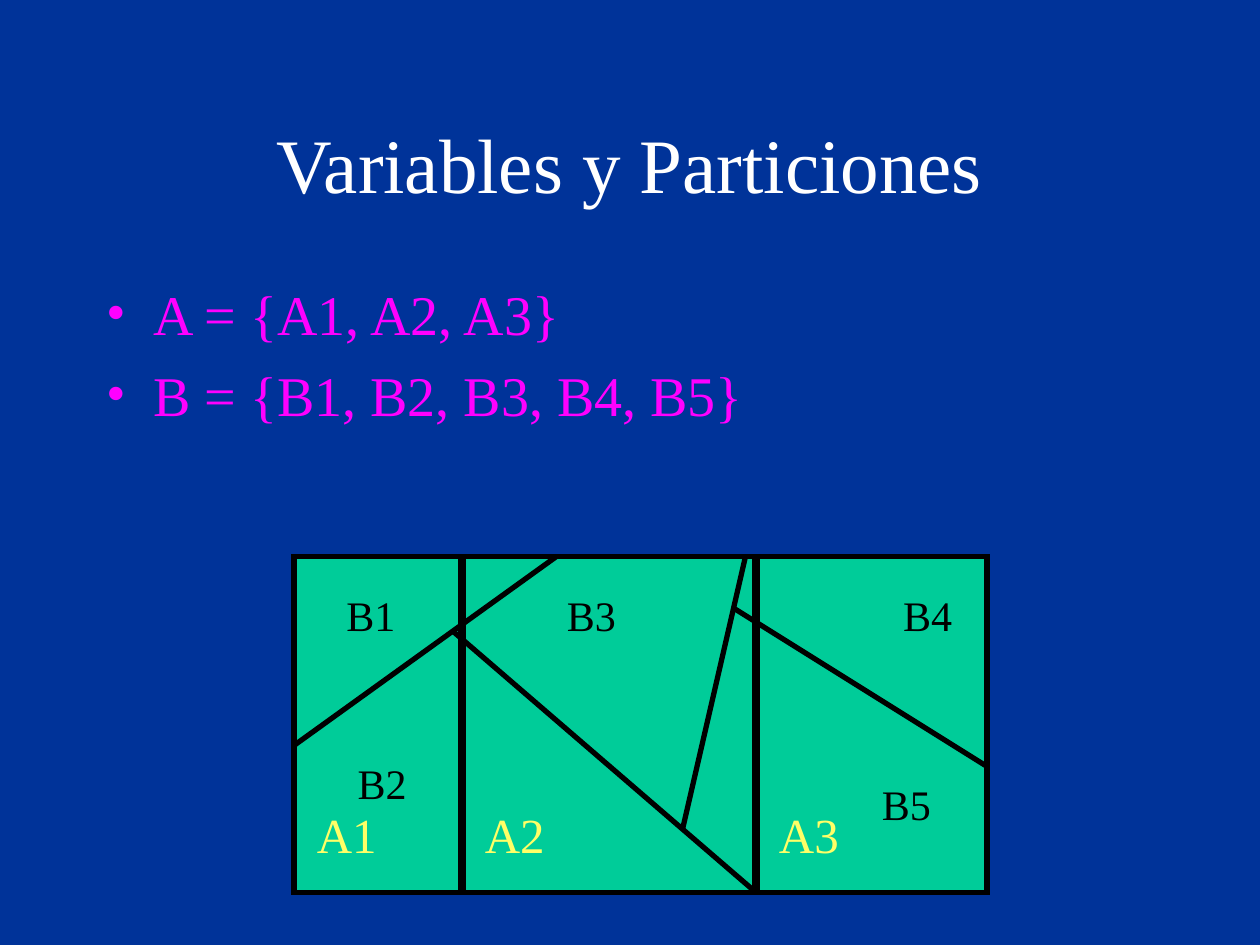
import pptx
import pptx.util
import pptx.dml.color
import pptx.enum.shapes
import pptx.enum.text
import pptx.oxml.ns
import lxml.etree
from dataclasses import dataclass

Pt = pptx.util.Pt
PP_ALIGN = pptx.enum.text.PP_ALIGN
ANCHOR = pptx.enum.text.MSO_ANCHOR


@dataclass(frozen=True)
class Theme:
    font: str = "Times New Roman"
    background: str = "003399"
    title: str = "FFFFFF"
    body: str = "FF00FF"
    panel: str = "00CC99"
    line: str = "000000"
    a_label: str = "FFFF66"
    b_label: str = "000000"
    title_size: int = 44
    body_size: int = 32
    a_size: int = 28
    b_size: int = 24


THEME = Theme()

# Sample space, in points
LEFT, TOP, RIGHT, BOTTOM = 168, 318, 564, 510
A_DIVIDERS = [264, 432]
B_DIVIDERS = [
    (LEFT, 426, 318, TOP),
    (258, 360, 432, BOTTOM),
    (390, 474, 426, TOP),
    (420, 348, RIGHT, 438),
]
B_LABELS = [(190.8, 333.4), (197.3, 429.1), (316.8, 333.4), (509, 333.4), (496.8, 441.4)]


def rgb(value):
    return pptx.dml.color.RGBColor.from_string(value)


def add_child(parent, tag, **attributes):
    return lxml.etree.SubElement(parent, pptx.oxml.ns.qn(tag), attributes)


def add_text(slide, lines, box, size, color, wrap=True):
    sp = slide.shapes.add_textbox(*map(Pt, box))
    tf = sp.text_frame
    tf.text = "\n".join(lines)
    tf.word_wrap = wrap
    if not wrap:
        tf.auto_size = pptx.enum.text.MSO_AUTO_SIZE.SHAPE_TO_FIT_TEXT
    for p in tf.paragraphs:
        for r in p.runs:
            r.font.name = THEME.font
            r.font.size = Pt(size)
            r.font.color.rgb = rgb(color)
    return tf


def add_bullet(p, indent):
    pPr = p._p.get_or_add_pPr()
    pPr.set("marL", str(Pt(indent)))
    pPr.set("indent", str(-Pt(indent)))
    add_child(add_child(pPr, "a:buClr"), "a:srgbClr", val=THEME.body)
    add_child(pPr, "a:buFont", typeface=THEME.font)
    add_child(pPr, "a:buChar", char="•")


def add_line(slide, ends, width):
    cxn = slide.shapes.add_connector(
        pptx.enum.shapes.MSO_CONNECTOR.STRAIGHT, *map(Pt, ends))
    cxn.line.color.rgb = rgb(THEME.line)
    cxn.line.width = Pt(width)
    add_child(cxn._element.spPr, "a:effectLst")


def add_panel(slide):
    sp = slide.shapes.add_shape(
        pptx.enum.shapes.MSO_SHAPE.RECTANGLE,
        Pt(LEFT), Pt(TOP), Pt(RIGHT - LEFT), Pt(BOTTOM - TOP))
    sp.shadow.inherit = False
    sp.fill.solid()
    sp.fill.fore_color.rgb = rgb(THEME.panel)
    sp.line.color.rgb = rgb(THEME.line)
    sp.line.width = Pt(3)
    # Square corners
    add_child(sp._element.spPr.find(pptx.oxml.ns.qn("a:ln")), "a:miter", lim="800000")


def main():
    prs = pptx.Presentation()
    prs.slide_width, prs.slide_height = Pt(720), Pt(540)
    slide = prs.slides.add_slide(prs.slide_layouts[6])
    slide.background.fill.solid()
    slide.background.fill.fore_color.rgb = rgb(THEME.background)

    # Title
    tf = add_text(slide, ["Variables y Particiones"], (54, 48, 612, 90),
                  THEME.title_size, THEME.title)
    tf.vertical_anchor = ANCHOR.MIDDLE
    tf.paragraphs[0].alignment = PP_ALIGN.CENTER

    # Definitions of the two variables
    tf = add_text(slide, ["A = {A1, A2, A3}", "B = {B1, B2, B3, B4, B5}"],
                  (54, 156, 612, 126), THEME.body_size, THEME.body)
    for p in tf.paragraphs:
        p.space_before = Pt(8)
        add_bullet(p, 26.6)

    # Partition B: slanted lines and black labels
    add_panel(slide)
    for ends in B_DIVIDERS:
        add_line(slide, ends, 3)
    for i, (x, y) in enumerate(B_LABELS, 1):
        add_text(slide, [f"B{i}"], (x, y, 42.5, 36), THEME.b_size,
                 THEME.b_label, wrap=False)

    # Partition A: vertical lines and a label at the left of each column
    for x in A_DIVIDERS:
        add_line(slide, (x, TOP, x, BOTTOM), 4.5)
    for i, x in enumerate([LEFT, *A_DIVIDERS], 1):
        add_text(slide, [f"A{i}"], (x + 6, 456, 49, 41), THEME.a_size,
                 THEME.a_label, wrap=False)

    prs.save("out.pptx")


if __name__ == "__main__":
    main()
